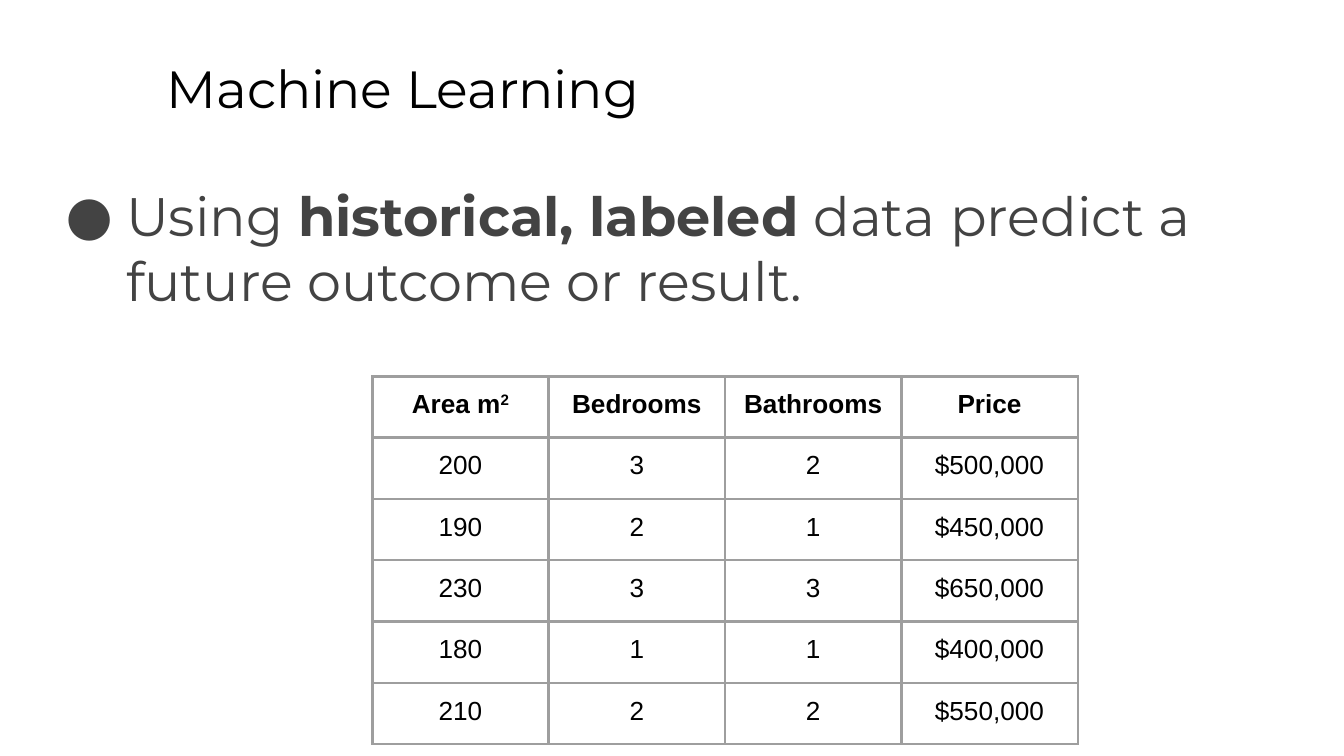
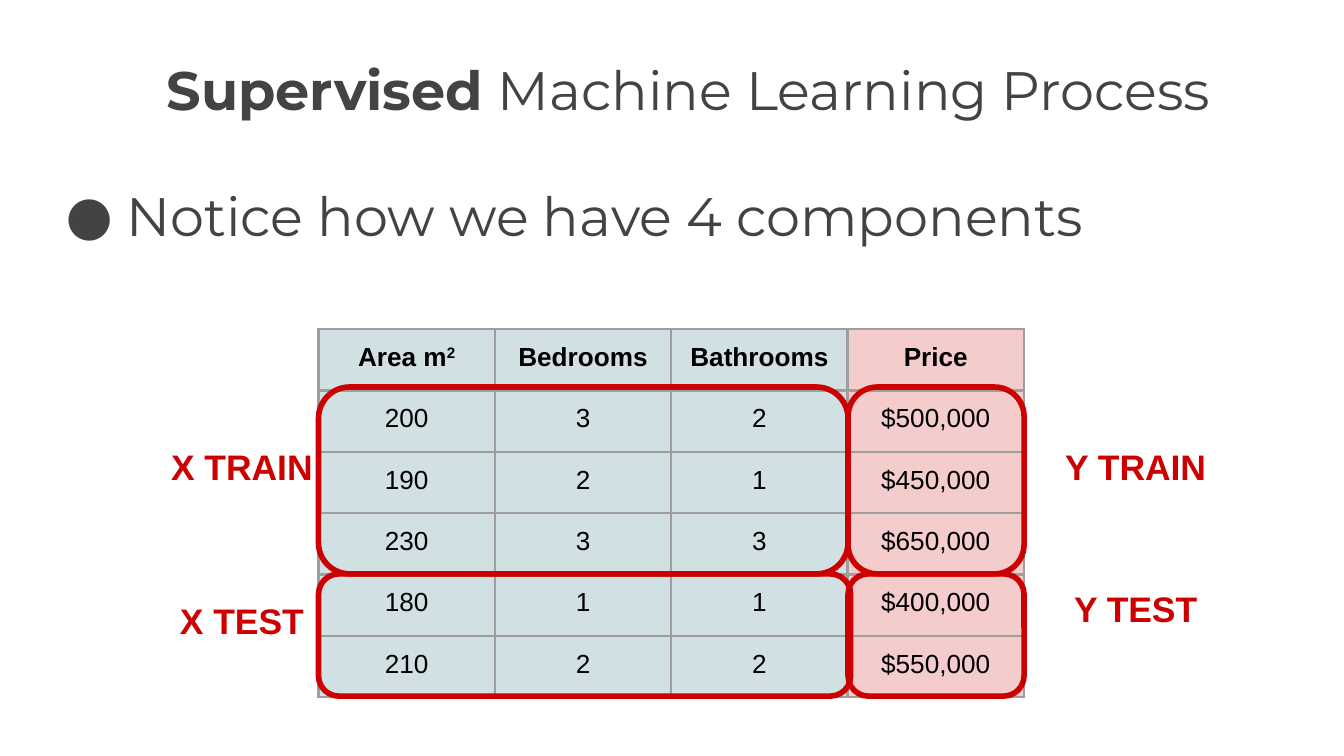
from lxml import etree
from pptx import Presentation
from pptx import util as u
from pptx.dml.color import RGBColor
from pptx.enum import shapes, text
from pptx.oxml.ns import qn

COLORS = {
    "black": "000000",
    "gray": "434343",
    "border": "9E9E9E",
    "red": "CC0000",
    "feature": "D0E0E3",
    "target": "F4CCCC",
}
HOUSES = [
    ("Area m²", "Bedrooms", "Bathrooms", "Price"),
    ("200", "3", "2", "$500,000"),
    ("190", "2", "1", "$450,000"),
    ("230", "3", "3", "$650,000"),
    ("180", "1", "1", "$400,000"),
    ("210", "2", "2", "$550,000"),
]
TABLE_WIDTH = 5.25
TABLE_HEIGHT = 2.74


class Slides:
    heading_font = "Montserrat"
    table_font = "Arial"

    def __init__(self):
        self.deck = Presentation()
        self.deck.slide_width = u.Inches(10)
        self.deck.slide_height = u.Inches(10 * 9 / 16)
        self.page = None

    def color(self, name):
        return RGBColor.from_string(COLORS[name])

    def add_page(self):
        self.page = self.deck.slides.add_slide(self.deck.slide_layouts[5])

    def place(self, box, left, top, width, height):
        box.left, box.top = u.Inches(left), u.Inches(top)
        box.width, box.height = u.Inches(width), u.Inches(height)

    def prepare(self, frame):
        frame.word_wrap = True
        frame.auto_size = text.MSO_AUTO_SIZE.NONE
        frame.vertical_anchor = text.MSO_ANCHOR.TOP
        frame.margin_left = frame.margin_right = u.Inches(0.1)
        frame.margin_top = frame.margin_bottom = u.Inches(0.1)
        return frame.paragraphs[0]

    def add_run(self, para, words, size, font, color, bold=False):
        span = para.add_run()
        span.text = words
        span.font.size = u.Pt(size)
        span.font.name = font
        span.font.bold = bold
        span.font.color.rgb = self.color(color)
        return span

    def title(self, runs, size, color):
        box = self.page.shapes.title
        self.place(box, 1.14, 0.32, 8.52, 0.63)
        para = self.prepare(box.text_frame)
        para.alignment = text.PP_ALIGN.LEFT
        for words, bold in runs:
            self.add_run(para, words, size, self.heading_font, color, bold)

    def text_box(self, left, top, width, height):
        box = self.page.shapes.add_textbox(0, 0, 0, 0)
        self.place(box, left, top, width, height)
        return self.prepare(box.text_frame)

    def bullet(self, runs):
        para = self.text_box(0.34, 1.26, 9.5, 3.74)
        props = para._p.get_or_add_pPr()
        props.set("marL", str(u.Inches(0.5)))
        props.set("indent", str(u.Inches(-0.45)))
        tint = etree.SubElement(props, qn("a:buClr"))
        etree.SubElement(tint, qn("a:srgbClr"), val=COLORS["gray"])
        etree.SubElement(props, qn("a:buFont"), typeface=self.heading_font)
        etree.SubElement(props, qn("a:buChar"), char="●")
        for words, bold in runs:
            self.add_run(para, words, 29, self.heading_font, "gray", bold)

    def label(self, words, left, top):
        para = self.text_box(left, top, 1.46, 0.74)
        para.alignment = text.PP_ALIGN.CENTER
        self.add_run(para, words, 19, self.table_font, "red", True)

    def outline(self, left, top, width, height):
        box = self.page.shapes.add_shape(
            shapes.MSO_SHAPE.ROUNDED_RECTANGLE,
            u.Inches(left), u.Inches(top), u.Inches(width), u.Inches(height))
        box.shadow.inherit = False
        box.fill.background()
        box.line.color.rgb = self.color("red")
        box.line.width = u.Pt(3)

    def cell_borders(self, cell):
        props = cell._tc.get_or_add_tcPr()
        for side in ("lnL", "lnR", "lnT", "lnB"):
            line = etree.SubElement(props, qn(f"a:{side}"), w=str(u.Pt(1.5)))
            fill = etree.SubElement(line, qn("a:solidFill"))
            etree.SubElement(fill, qn("a:srgbClr"), val=COLORS["border"])

    def cell_text(self, cell, words, bold):
        cell.margin_left = cell.margin_right = u.Inches(0.1)
        cell.margin_top = cell.margin_bottom = u.Inches(0.1)
        cell.vertical_anchor = text.MSO_ANCHOR.TOP
        para = cell.text_frame.paragraphs[0]
        para.alignment = text.PP_ALIGN.CENTER
        base, mark, _ = words.partition("²")
        self.add_run(para, base, 14, self.table_font, "black", bold)
        if mark:
            power = self.add_run(para, "2", 14, self.table_font, "black", bold)
            power._r.get_or_add_rPr().set("baseline", "30000")

    def table(self, rows, left, top, fills=None):
        table = self.page.shapes.add_table(
            len(rows), len(rows[0]), u.Inches(left), u.Inches(top),
            u.Inches(TABLE_WIDTH), u.Inches(TABLE_HEIGHT)).table
        table.first_row = table.horz_banding = False
        for r, values in enumerate(rows):
            for c, words in enumerate(values):
                cell = table.cell(r, c)
                self.cell_text(cell, words, r == 0)
                self.cell_borders(cell)
                if fills:
                    cell.fill.solid()
                    cell.fill.fore_color.rgb = self.color(fills[c])
                else:
                    cell.fill.background()


def main():
    slides = Slides()

    slides.add_page()
    slides.title([("Machine Learning", False)], 28, "black")
    slides.bullet([
        ("Using ", False),
        ("historical, labeled", True),
        (" data predict a future outcome or result.", False),
    ])
    slides.table(HOUSES, 2.77, 2.8)

    slides.add_page()
    slides.title([("Supervised", True), (" Machine Learning Process", False)],
                 29, "gray")
    slides.bullet([("Notice how we have 4 components", False)])
    slides.table(HOUSES, 2.37, 2.45, ["feature"] * 3 + ["target"])
    train = (2.88, 1.39)
    test = (4.27, 0.91)
    for words, left, width, (top, height), label_left, label_top in (
        ("X TRAIN", 2.37, 3.94, train, 1.07, 3.21),
        ("X TEST", 2.37, 3.96, test, 1.07, 4.36),
        ("Y TRAIN", 6.31, 1.31, train, 7.72, 3.21),
        ("Y TEST", 6.31, 1.31, test, 7.72, 4.27),
    ):
        slides.outline(left, top, width, height)
        slides.label(words, label_left, label_top)

    slides.deck.save("out.pptx")


if __name__ == "__main__":
    main()
